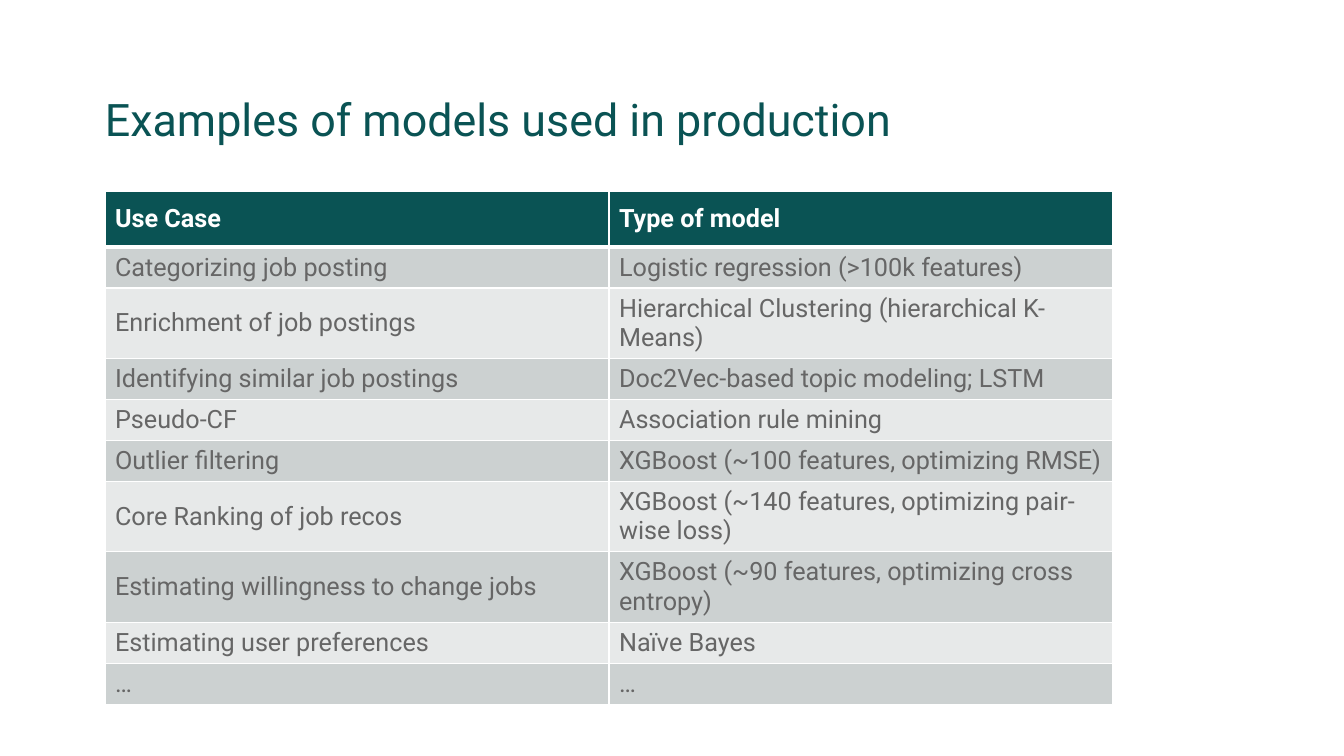
import pptx
import pptx.dml.color
import pptx.enum.text
import pptx.oxml
import pptx.oxml.ns
import pptx.util

Pt = pptx.util.Pt

MODELS = [
    ("Use Case", "Type of model"),
    ("Categorizing job posting", "Logistic regression (>100k features)"),
    ("Enrichment of job postings", "Hierarchical Clustering (hierarchical K-Means)"),
    ("Identifying similar job postings", "Doc2Vec-based topic modeling; LSTM"),
    ("Pseudo-CF", "Association rule mining"),
    ("Outlier filtering", "XGBoost (~100 features, optimizing RMSE)"),
    ("Core Ranking of job recos", "XGBoost (~140 features, optimizing pair-wise loss)"),
    ("Estimating willingness to change jobs", "XGBoost (~90 features, optimizing cross entropy)"),
    ("Estimating user preferences", "Naïve Bayes"),
    ("…", "…"),
]


def rgb(color):
    return pptx.dml.color.RGBColor.from_string(color)


class ModelSlide:
    FONT = "Roboto"
    TEAL, WHITE, GRAY = "0A5354", "FFFFFF", "666666"
    BANDS = ("E7E9E9", "CCD1D1")

    def __init__(self, deck):
        self.slide = deck.slides.add_slide(deck.slide_layouts[6])

    def style(self, paragraph, size, color, bold=False):
        for run in paragraph.runs:
            run.font.name = self.FONT
            run.font.size = Pt(size)
            run.font.bold = bold
            run.font.color.rgb = rgb(color)

    def title(self, text, left, top, width, height):
        frame = self.slide.shapes.add_textbox(Pt(left), Pt(top), Pt(width), Pt(height)).text_frame
        frame.word_wrap = True
        frame.margin_left = frame.margin_top = frame.margin_right = frame.margin_bottom = 0
        frame.text = text
        frame.paragraphs[0].line_spacing = 0.9
        self.style(frame.paragraphs[0], 32, self.TEAL)

    def border(self, cell, side, width):
        """Draw one side (L, R, T or B) of a cell in white."""
        cell.fill.background()
        line = pptx.oxml.parse_xml(
            f'<a:ln{side} {pptx.oxml.ns.nsdecls("a")} w="{Pt(width)}"><a:solidFill>'
            f'<a:srgbClr val="{self.WHITE}"/></a:solidFill></a:ln{side}>')
        properties = cell._tc.get_or_add_tcPr()
        properties.insert(len(properties) - 1, line)

    def table(self, rows, left, top, width, header_height, row_height):
        height = header_height + row_height * (len(rows) - 1)
        table = self.slide.shapes.add_table(
            len(rows), len(rows[0]), Pt(left), Pt(top), Pt(width), Pt(height)).table
        for r, texts in enumerate(rows):
            header = r == 0
            table.rows[r].height = Pt(header_height if header else row_height)
            for c, text in enumerate(texts):
                cell = table.cell(r, c)
                cell.text = text
                cell.vertical_anchor = pptx.enum.text.MSO_ANCHOR.MIDDLE
                self.style(cell.text_frame.paragraphs[0], 18,
                           self.WHITE if header else self.GRAY, header)
                for side in "LRTB":
                    thick = (side == "B" and r == 0) or (side == "T" and r == 1)
                    self.border(cell, side, 3 if thick else 1)
                cell.fill.solid()
                cell.fill.fore_color.rgb = rgb(self.TEAL if header else self.BANDS[r % 2])


def main():
    deck = pptx.Presentation()
    deck.slide_width, deck.slide_height = Pt(960), Pt(540)
    slide = ModelSlide(deck)
    slide.title("Examples of models used in production", 75, 70, 811, 78)
    slide.table(MODELS, 75, 137, 720, 39.5, 29.2)
    deck.save("out.pptx")


if __name__ == "__main__":
    main()
